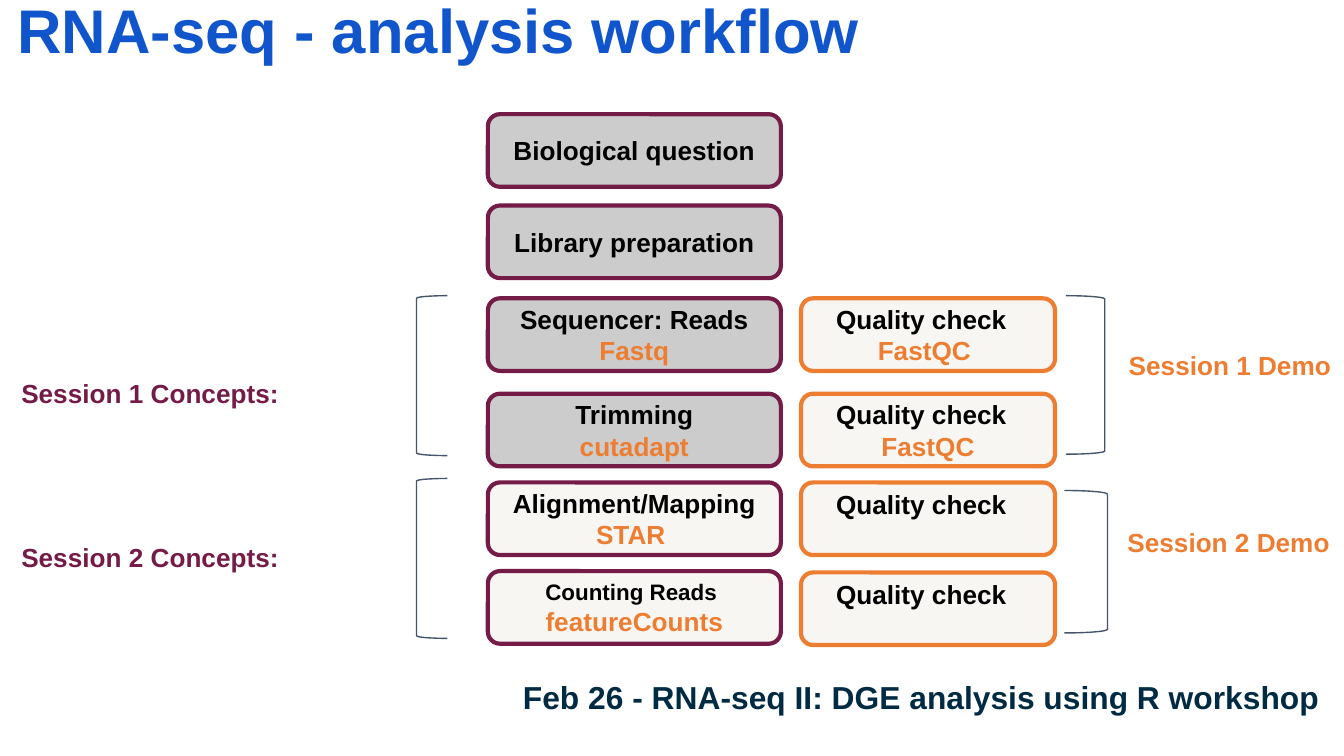
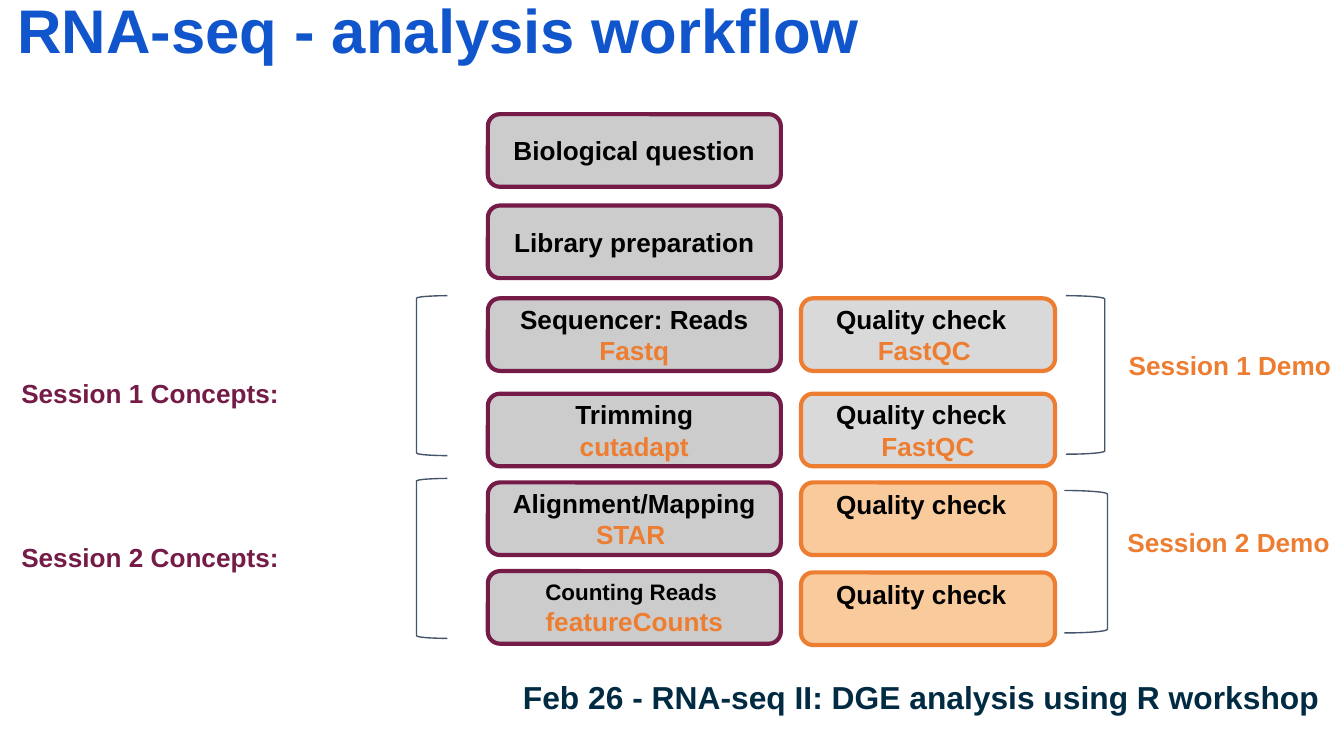
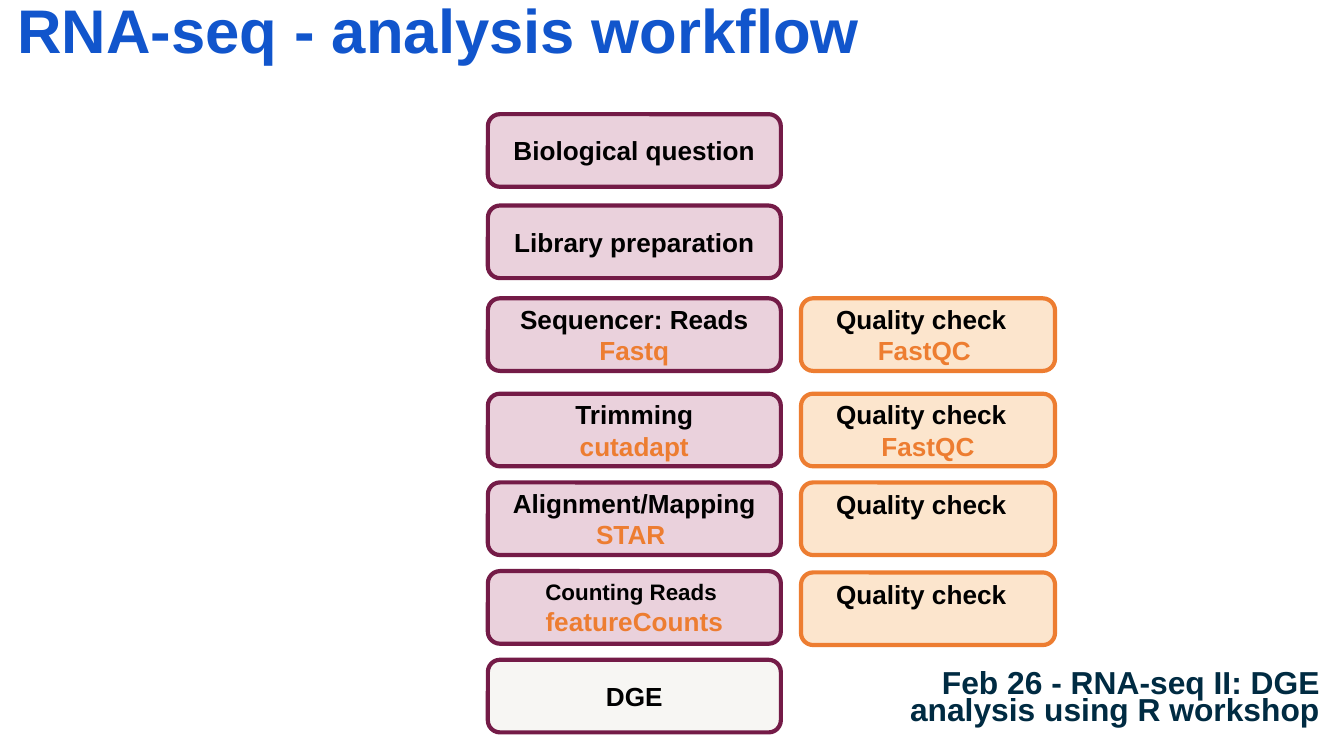
from dataclasses import dataclass

from pptx import Presentation
from pptx import util as u
from pptx.dml import color
from pptx.enum import shapes, text


@dataclass(frozen=True)
class Theme:
    font: str = "Arial"
    title: str = "1155CC"
    concept: str = "741B47"
    demo: str = "ED7D31"
    ink: str = "000000"
    bracket: str = "44546A"
    footer: str = "002B42"
    done: str = "CCCCCC"
    checked: str = "D9D9D9"
    pending: str = "F7F6F3"
    current: str = "F9CB9C"
    pink: str = "EAD1DC"
    peach: str = "FCE5CD"
    title_size: float = 33
    footer_size: float = 17
    body_size: float = 14
    small_size: float = 12


THEME = Theme()
TITLE = "RNA-seq - analysis workflow"
FOOTER = "Feb 26 - RNA-seq II: DGE analysis using R workshop"

BODY, SMALL = THEME.body_size, THEME.small_size
STEPS = [
    (0.85, [[("Biological question", BODY, THEME.ink)]]),
    (1.53, [[("Library preparation", BODY, THEME.ink)]]),
    (2.22, [[("Sequencer: Reads ", BODY, THEME.ink), ("Fastq", BODY, THEME.demo)]]),
    (2.93, [[("Trimming", BODY, THEME.ink)], [("cutadapt", BODY, THEME.demo)]]),
    (3.59, [[("Alignment/Mapping", BODY, THEME.ink)], [("STAR ", BODY, THEME.demo)]]),
    (4.25, [[("Counting Reads ", SMALL, THEME.ink)], [("featureCounts", BODY, THEME.demo)]]),
    (4.91, [[("DGE", BODY, THEME.ink)]]),
]
CHECKS = [(2.22, "FastQC "), (2.93, "FastQC"), (3.59, None), (4.26, None)]

SESSION_LABELS = [
    ("Session 1 Concepts:", (0.06, 2.71, 3.42, 0.44), THEME.concept),
    ("Session 2 Concepts:", (0.06, 3.93, 3.42, 0.67), THEME.concept),
    ("Session 1 Demo", (8.3, 2.5, 1.71, 0.67), THEME.demo),
    ("Session 2 Demo", (8.29, 3.82, 1.71, 0.67), THEME.demo),
]
BRACKETS = [
    ((3.1, 2.2, 0.23, 1.19), True),
    ((3.1, 3.56, 0.23, 1.19), True),
    ((7.93, 2.2, 0.29, 1.18), False),
    ((7.92, 3.65, 0.32, 1.06), False),
]

WIDE_FOOTER = (0.25, 5.02, 9.67, 0.4)
NARROW_FOOTER = (5.87, 4.91, 4.05, 0.6)
SLIDES = [
    {
        "steps": [THEME.done] * 4 + [THEME.pending] * 2,
        "checks": [THEME.pending] * 4,
        "sessions": True,
        "footer": WIDE_FOOTER,
    },
    {
        "steps": [THEME.done] * 6,
        "checks": [THEME.checked] * 2 + [THEME.current] * 2,
        "sessions": True,
        "footer": WIDE_FOOTER,
    },
    {
        "steps": [THEME.pink] * 6 + [THEME.pending],
        "checks": [THEME.peach] * 4,
        "sessions": False,
        "footer": NARROW_FOOTER,
    },
]


def rgb(value):
    return color.RGBColor.from_string(value)


def inches(place):
    return [u.Inches(length) for length in place]


def set_margins(frame, size):
    frame.margin_left = frame.margin_right = u.Inches(size)
    frame.margin_top = frame.margin_bottom = u.Inches(size)
    frame.word_wrap = True


def set_indent(para, side, size):
    para._p.get_or_add_pPr().set(side, str(u.Inches(size)))


def add_span(para, words, size, ink):
    span = para.add_run()
    span.text = words
    span.font.name = THEME.font
    span.font.size = u.Pt(size)
    span.font.bold = True
    span.font.color.rgb = rgb(ink)


def add_title(page):
    box = page.shapes.title
    box.left, box.top, box.width, box.height = inches((0.13, 0, 8.62, 0.81))
    frame = box.text_frame
    set_margins(frame, 0)
    frame.auto_size = text.MSO_AUTO_SIZE.NONE
    frame.vertical_anchor = text.MSO_ANCHOR.TOP
    para = frame.paragraphs[0]
    para.alignment = text.PP_ALIGN.LEFT
    para.line_spacing = 0.9
    add_span(para, TITLE, THEME.title_size, THEME.title)


def add_label(page, words, place, size, ink):
    box = page.shapes.add_textbox(*inches(place))
    frame = box.text_frame
    set_margins(frame, 0.1)
    frame.auto_size = text.MSO_AUTO_SIZE.SHAPE_TO_FIT_TEXT
    para = frame.paragraphs[0]
    add_span(para, words, size, ink)
    return para


def add_footer(page, place):
    para = add_label(page, FOOTER, place, THEME.footer_size, THEME.footer)
    para.alignment = text.PP_ALIGN.RIGHT
    para.line_spacing = 0.7
    set_indent(para, "marL", 0.5)


def add_card(page, place, fill, line, lines):
    card = page.shapes.add_shape(shapes.MSO_SHAPE.ROUNDED_RECTANGLE, *inches(place))
    card.shadow.inherit = False
    card.fill.solid()
    card.fill.fore_color.rgb = rgb(fill)
    card.line.color.rgb = rgb(line)
    card.line.width = u.Pt(2.25)
    frame = card.text_frame
    set_margins(frame, 0.1)
    frame.vertical_anchor = text.MSO_ANCHOR.MIDDLE
    for index, spans in enumerate(lines):
        para = frame.add_paragraph() if index else frame.paragraphs[0]
        para.alignment = text.PP_ALIGN.CENTER
        for span in spans:
            add_span(para, *span)
    return frame


def add_check(page, top, tool, fill):
    lines = [[("Quality check", BODY, THEME.ink)]]
    if tool:
        lines.append([(tool, BODY, THEME.demo)])
    frame = add_card(page, (5.96, top, 1.89, 0.54), fill, THEME.demo, lines)
    for para, indent in zip(frame.paragraphs, (0.1, 0)):
        set_indent(para, "marR", indent)
    if not tool:
        frame.vertical_anchor = text.MSO_ANCHOR.TOP
        frame.margin_top = u.Inches(0.02)


def add_bracket(page, place, opens_right):
    bracket = page.shapes.add_shape(shapes.MSO_SHAPE.RIGHT_BRACKET, *inches(place))
    bracket.shadow.inherit = False
    bracket.fill.background()
    bracket.line.color.rgb = rgb(THEME.bracket)
    bracket.line.width = u.Pt(0.75)
    if opens_right:
        bracket._element.spPr.xfrm.set("flipH", "1")


def add_workflow(deck, state):
    page = deck.slides.add_slide(deck.slide_layouts[5])
    add_title(page)
    for (top, lines), fill in zip(STEPS, state["steps"]):
        add_card(page, (3.63, top, 2.18, 0.54), fill, THEME.concept, lines)
    for (top, tool), fill in zip(CHECKS, state["checks"]):
        add_check(page, top, tool, fill)
    if state["sessions"]:
        for words, place, ink in SESSION_LABELS:
            add_label(page, words, place, BODY, ink)
        for place, opens_right in BRACKETS:
            add_bracket(page, place, opens_right)
    add_footer(page, state["footer"])


def main():
    deck = Presentation()
    deck.slide_width = u.Inches(10)
    deck.slide_height = deck.slide_width * 9 // 16
    for state in SLIDES:
        add_workflow(deck, state)
    deck.save("out.pptx")


if __name__ == "__main__":
    main()
